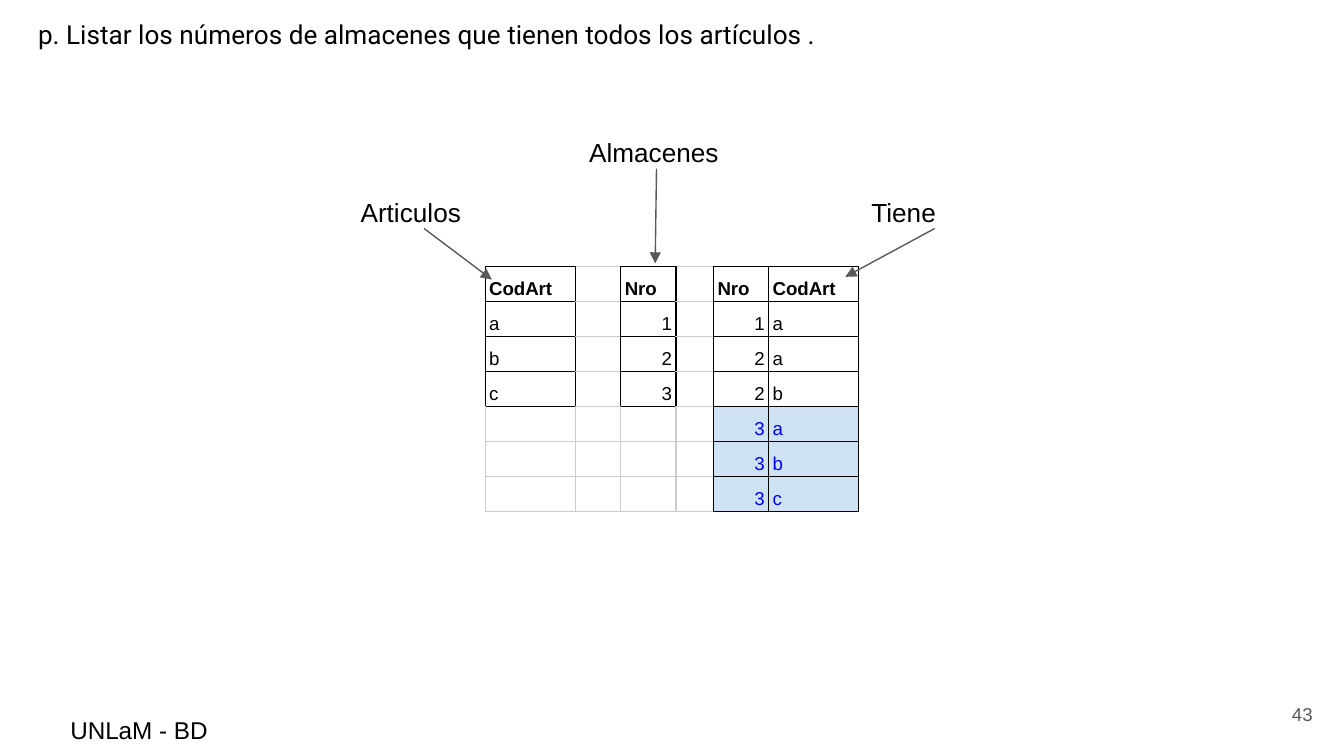
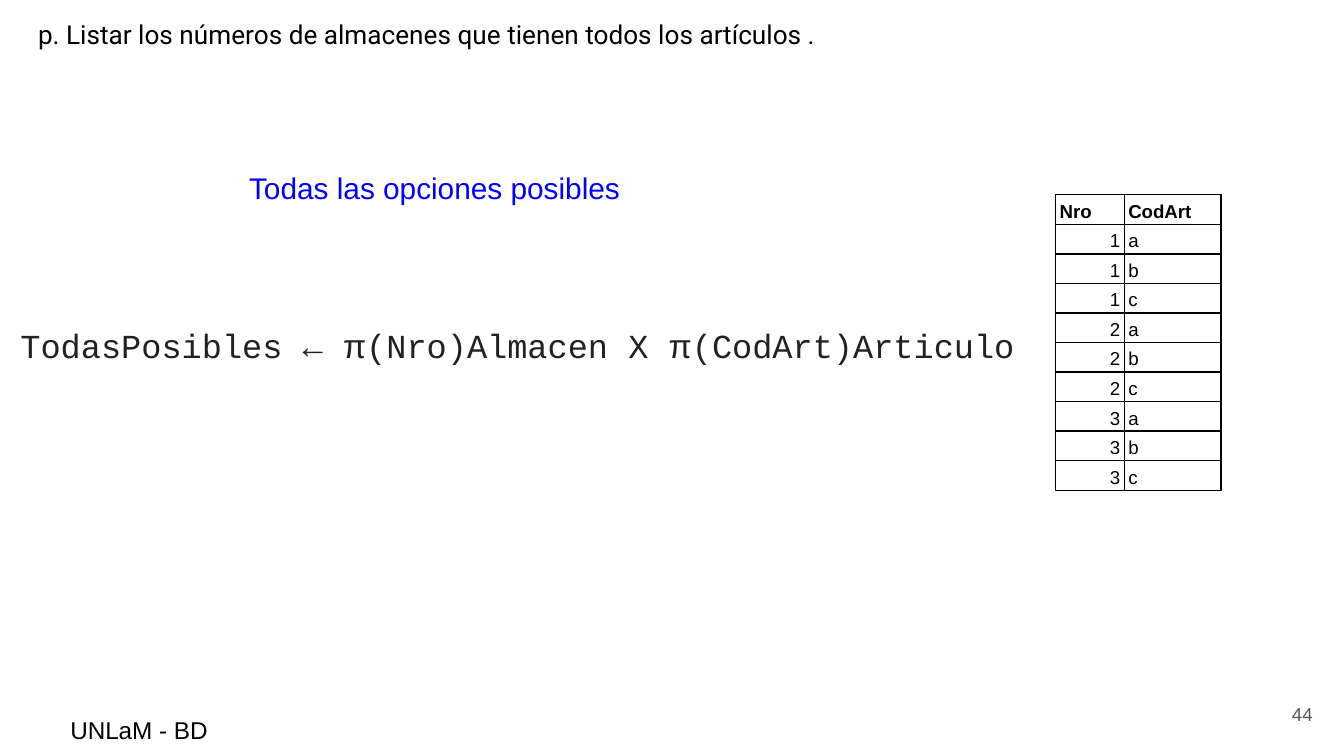
from dataclasses import dataclass
from itertools import product
from typing import Optional

from lxml import etree
from pptx import Presentation
from pptx import util as u
from pptx.dml.color import RGBColor
from pptx.enum import shapes, text
from pptx.oxml import ns

PX = 4572  # 200 px to the inch
COLORS = {
    "black": "000000",
    "gray": "595959",
    "grid": "CCCCCC",
    "blue": "0000FF",
    "highlight": "CFE2F3",
    "code": "222222",
}
SANS, TITLE_FONT, MONO = "Arial", "Roboto", "Courier New"
LINE_WIDTH = u.Pt(0.75)
LINE_SPACING = 1.15


@dataclass(frozen=True)
class Label:
    runs: tuple[tuple[str, str], ...]  # (words, font)
    box: tuple[int, int, int, int]
    size: int
    color: str = "black"
    align: text.PP_ALIGN = text.PP_ALIGN.LEFT
    anchor: text.MSO_ANCHOR = text.MSO_ANCHOR.TOP
    line_spacing: Optional[float] = None
    space_before: float = 0
    indent: int = 0


@dataclass(frozen=True)
class Grid:
    left: int
    top: int
    columns: tuple[int, ...]
    row_height: int
    rows: tuple[tuple[str, ...], ...]
    highlight_from: Optional[int] = None


@dataclass(frozen=True)
class Callout:
    label: Label
    target: tuple[int, int]


TITLE = Label(
    (("p. Listar los números de almacenes que tienen todos los artículos .", TITLE_FONT),),
    (0, 0, 2000, 184), 14, line_spacing=LINE_SPACING, space_before=15.6, indent=37,
)
FOOTER = Label((("UNLaM - BD", SANS),), (85, 1044, 288, 62), 13)

RELATIONS = Grid(
    722, 397, (134, 68, 82, 56, 82, 134), 52,
    (
        ("CodArt", "", "Nro", "", "Nro", "CodArt"),
        ("a", "", "1", "", "1", "a"),
        ("b", "", "2", "", "2", "a"),
        ("c", "", "3", "", "2", "b"),
        ("", "", "", "", "3", "a"),
        ("", "", "", "", "3", "b"),
        ("", "", "", "", "3", "c"),
    ),
    highlight_from=4,
)
CALLOUTS = (
    Callout(Label((("Articulos", SANS),), (517, 272, 228, 68), 14), (732, 416)),
    Callout(Label((("Almacenes", SANS),), (857, 183, 240, 68), 14), (975, 392)),
    Callout(Label((("Tiene", SANS),), (1277, 272, 228, 68), 14), (1258, 412)),
)

ALL_PAIRS = Grid(
    1571, 290, (102, 144), 44, (("Nro", "CodArt"), *product("123", "abc")),
)
FORMULA = Label(
    (
        ("TodasPosibles ← ", MONO),
        ("π", SANS),
        ("(Nro)Almacen X ", MONO),
        ("π", SANS),
        ("(CodArt)Articulo ", MONO),
    ),
    (0, 454, 1570, 132), 18, "code", text.PP_ALIGN.CENTER,
    line_spacing=LINE_SPACING, space_before=4,
)
CAPTION = Label((("Todas las opciones posibles", SANS),), (351, 232, 616, 132), 16, "blue")


def px(length: int) -> u.Emu:
    return u.Emu(length * PX)


def rgb(name: str) -> RGBColor:
    return RGBColor.from_string(COLORS[name])


def format_font(font, name: str, size: int, color: str, bold: bool = False) -> None:
    font.name = name
    font.size = u.Pt(size)
    font.bold = bold
    font.color.rgb = rgb(color)


def add_label(slide, label: Label):
    shape = slide.shapes.add_textbox(*map(px, label.box))
    frame = shape.text_frame
    frame.word_wrap = True
    frame.vertical_anchor = label.anchor
    frame.margin_left = frame.margin_right = px(20)
    frame.margin_top = frame.margin_bottom = px(20)
    paragraph = frame.paragraphs[0]
    paragraph.alignment = label.align
    paragraph.line_spacing = label.line_spacing
    paragraph.space_before = u.Pt(label.space_before)
    if label.indent:
        properties = paragraph._p.get_or_add_pPr()
        properties.set("marL", str(px(label.indent)))
        properties.set("indent", "0")
    for words, font_name in label.runs:
        run = paragraph.add_run()
        run.text = words
        format_font(run.font, font_name, label.size, label.color)
    return shape


def add_callout(slide, callout: Callout) -> None:
    """Draw a label and an arrow from its bottom middle to the target."""
    label_shape = add_label(slide, callout.label)
    end_x, end_y = map(px, callout.target)
    connector = slide.shapes.add_connector(
        shapes.MSO_CONNECTOR.STRAIGHT, end_x, end_y, end_x, end_y
    )
    connector.begin_connect(label_shape, 2)
    connector.line.color.rgb = rgb("gray")
    connector.line.width = LINE_WIDTH
    line = connector.line._get_or_add_ln()
    etree.SubElement(line, ns.qn("a:tailEnd"), type="triangle")
    etree.SubElement(connector._element.spPr, ns.qn("a:effectLst"))


def add_border(cell, side: str, color: str) -> None:
    properties = cell._tc.get_or_add_tcPr()
    line = etree.SubElement(properties, ns.qn(f"a:ln{side}"), w=str(LINE_WIDTH))
    fill = etree.SubElement(line, ns.qn("a:solidFill"))
    etree.SubElement(fill, ns.qn("a:srgbClr"), val=COLORS[color])


def is_filled(grid: Grid, row: int, column: int) -> bool:
    inside = 0 <= row < len(grid.rows) and 0 <= column < len(grid.columns)
    return inside and bool(grid.rows[row][column])


def format_cell(cell, grid: Grid, row: int, column: int) -> None:
    """Fill in one cell; edges that touch a filled cell are black."""
    words = grid.rows[row][column]
    highlighted = bool(
        words and grid.highlight_from is not None and row >= grid.highlight_from
    )
    cell.margin_left = cell.margin_right = px(6)
    cell.margin_top = px(2)
    cell.margin_bottom = px(3)
    cell.vertical_anchor = text.MSO_ANCHOR.BOTTOM
    neighbours = {
        "L": (row, column - 1),
        "R": (row, column + 1),
        "T": (row - 1, column),
        "B": (row + 1, column),
    }
    for side, neighbour in neighbours.items():
        touches = words or is_filled(grid, *neighbour)
        add_border(cell, side, "black" if touches else "grid")
    if highlighted:
        cell.fill.solid()
        cell.fill.fore_color.rgb = rgb("highlight")
    else:
        cell.fill.background()
    paragraph = cell.text_frame.paragraphs[0]
    if not words:
        etree.SubElement(paragraph._p, ns.qn("a:endParaRPr"), sz="1000")
        return
    paragraph.text = words
    paragraph.line_spacing = LINE_SPACING
    paragraph.alignment = text.PP_ALIGN.RIGHT if words.isdigit() else text.PP_ALIGN.LEFT
    color = "blue" if highlighted else "black"
    format_font(paragraph.runs[0].font, SANS, 10, color, bold=row == 0)


def add_grid(slide, grid: Grid) -> None:
    row_count, column_count = len(grid.rows), len(grid.columns)
    table = slide.shapes.add_table(
        row_count, column_count, px(grid.left), px(grid.top),
        px(sum(grid.columns)), px(row_count * grid.row_height),
    ).table
    table.first_row = table.horz_banding = False
    for column, width in zip(table.columns, grid.columns):
        column.width = px(width)
    for row in table.rows:
        row.height = px(grid.row_height)
    for row, column in product(range(row_count), range(column_count)):
        format_cell(table.cell(row, column), grid, row, column)


def add_base_slide(presentation, number: int):
    """Add a blank slide with its page number, title and footer."""
    slide = presentation.slides.add_slide(presentation.slide_layouts[6])
    page_number = Label(
        ((str(number), SANS),), (1853, 1020, 120, 86), 10, "gray",
        text.PP_ALIGN.RIGHT, text.MSO_ANCHOR.MIDDLE,
    )
    for label in (page_number, TITLE, FOOTER):
        add_label(slide, label)
    return slide


def main() -> None:
    presentation = Presentation()
    presentation.slide_width = px(2000)
    presentation.slide_height = px(1125)

    relations_slide = add_base_slide(presentation, 43)
    add_grid(relations_slide, RELATIONS)
    for callout in CALLOUTS:
        add_callout(relations_slide, callout)

    pairs_slide = add_base_slide(presentation, 44)
    add_grid(pairs_slide, ALL_PAIRS)
    for label in (FORMULA, CAPTION):
        add_label(pairs_slide, label)

    presentation.save("out.pptx")


if __name__ == "__main__":
    main()
